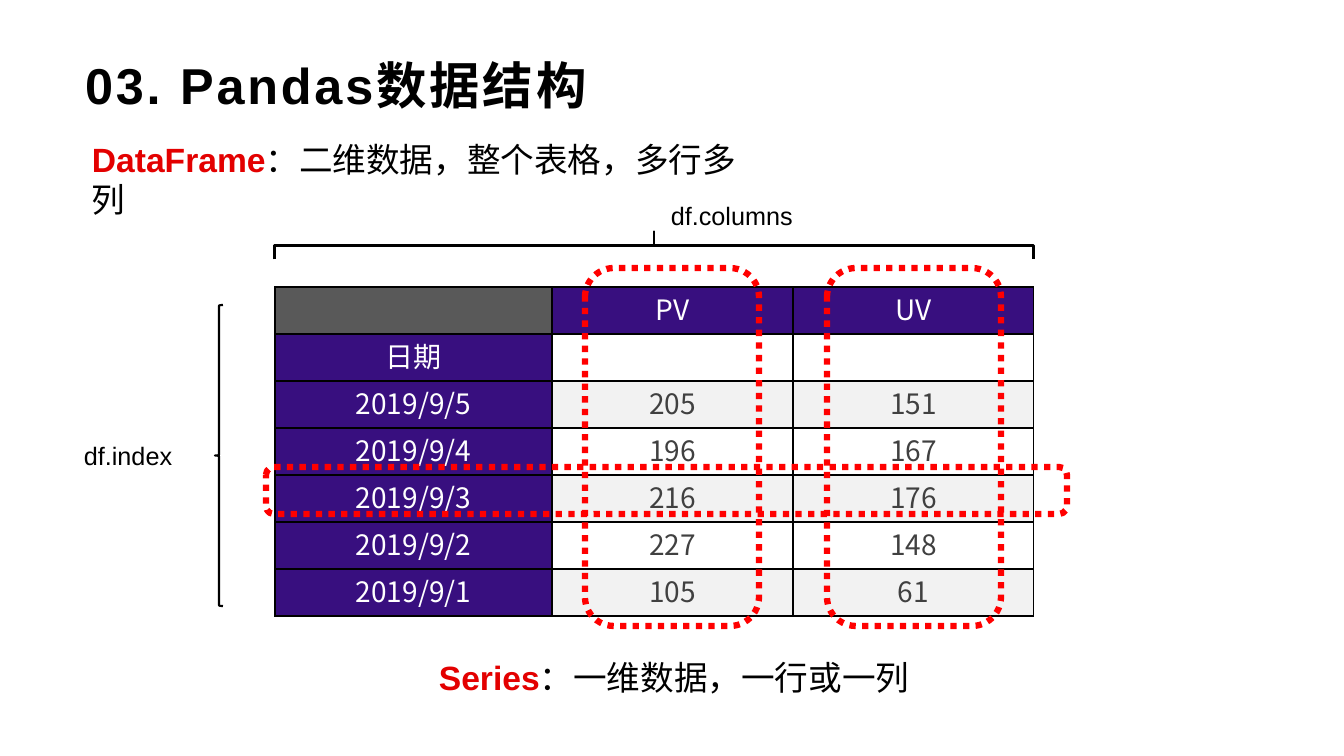
from lxml import etree
from pptx import Presentation
from pptx.dml.color import RGBColor
from pptx.enum.dml import MSO_LINE
from pptx.enum.shapes import MSO_SHAPE
from pptx.enum.text import MSO_ANCHOR, MSO_AUTO_SIZE, PP_ALIGN
from pptx.oxml.ns import qn
from pptx.util import Pt

PX = 914400 / 100.8
LATIN, CJK = "Arial", "Noto Sans CJK SC"
ROUND_RECT, BRACE = MSO_SHAPE.ROUNDED_RECTANGLE, MSO_SHAPE.LEFT_BRACE
DOTTED = MSO_LINE.ROUND_DOT
LEFT, CENTER, MIDDLE = PP_ALIGN.LEFT, PP_ALIGN.CENTER, MSO_ANCHOR.MIDDLE
NO_FIT, FIT_SHAPE = MSO_AUTO_SIZE.NONE, MSO_AUTO_SIZE.SHAPE_TO_FIT_TEXT
TITLE_ONLY = 5

COLORS = {
    "black": "000000", "white": "FFFFFF", "red": "FF0000",
    "term": "E30000", "term_end": "760303", "purple": "380F7F",
    "corner": "595959", "band": "F2F2F2", "value": "404040",
}


def px(n):
    return round(n * PX)


def rgb(name):
    return RGBColor.from_string(COLORS[name])


class Deck:
    """Holds the shared style and the current slide."""

    def __init__(self, width, height):
        self.prs = Presentation()
        self.prs.slide_width, self.prs.slide_height = px(width), px(height)
        self.slide = None

    def add_slide(self):
        layout = self.prs.slide_layouts[TITLE_ONLY]
        self.slide = self.prs.slides.add_slide(layout)

    def run(self, p, text, size, color="black", bold=False, font=LATIN):
        r = p.add_run()
        r.text = text
        style = {"name": font, "size": Pt(size), "bold": bold}
        for key, value in style.items():
            setattr(r.font, key, value)
        r.font.color.rgb = rgb(color)
        ea = etree.SubElement(r._r.get_or_add_rPr(), qn("a:ea"))
        ea.set("typeface", CJK)
        return r

    def title(self, text, x, y, w, h):
        sp = self.slide.shapes.title
        sp.left, sp.top, sp.width, sp.height = map(px, (x, y, w, h))
        tf = sp.text_frame
        frame = {"margin_left": px(11), "margin_right": px(8),
                 "margin_top": px(4), "margin_bottom": px(4),
                 "vertical_anchor": MIDDLE, "word_wrap": True,
                 "auto_size": NO_FIT}
        for key, value in frame.items():
            setattr(tf, key, value)
        p = tf.paragraphs[0]
        p.alignment = LEFT
        r = self.run(p, text, 36, bold=True)
        r._r.get_or_add_rPr().set("spc", "200")

    def text_box(self, x, y, w, h, wrap=False):
        tf = self.slide.shapes.add_textbox(*map(px, (x, y, w, h))).text_frame
        tf.word_wrap = wrap
        tf.auto_size = FIT_SHAPE
        return tf.paragraphs[0]

    def label(self, text, x, y, w, h):
        p = self.text_box(x, y, w, h)
        p.alignment = LEFT
        self.run(p, text, 18)

    def definition(self, term, meaning, x, y, w, h):
        p = self.text_box(x, y, w, h, wrap=True)
        fill = self.run(p, term, 24, bold=True).font.fill
        fill.gradient()
        fill.gradient_angle = 0
        for stop, color in zip(fill.gradient_stops, ("term", "term_end")):
            stop.color.rgb = rgb(color)
        self.run(p, meaning, 24)

    def outline(self, kind, x, y, w, h, color, weight, dash=None):
        sp = self.slide.shapes.add_shape(kind, *map(px, (x, y, w, h)))
        sp.shadow.inherit = False
        sp.fill.background()
        sp.line.color.rgb = rgb(color)
        sp.line.width = Pt(weight)
        if dash:
            sp.line.dash_style = dash
        return sp

    def cell(self, cell, text, fill, color):
        tc_pr = cell._tc.get_or_add_tcPr()
        for side in ("lnL", "lnR", "lnT", "lnB"):
            ln = etree.SubElement(tc_pr, qn("a:" + side), w=str(Pt(1)))
            solid = etree.SubElement(ln, qn("a:solidFill"))
            etree.SubElement(solid, qn("a:srgbClr"), val=COLORS["black"])
        cell.fill.solid()
        cell.fill.fore_color.rgb = rgb(fill)
        frame = {"margin_left": px(1), "margin_right": px(1),
                 "margin_top": px(1), "margin_bottom": px(5),
                 "vertical_anchor": MIDDLE}
        for key, value in frame.items():
            setattr(cell, key, value)
        if text:
            p = cell.text_frame.paragraphs[0]
            p.alignment = CENTER
            self.run(p, text, 20, color, font=CJK)

    def table(self, rows, x, y, widths, row_height):
        size = (sum(widths), row_height * len(rows))
        table = self.slide.shapes.add_table(
            len(rows), len(widths), *map(px, (x, y, *size))).table
        table.first_row = table.horz_banding = False
        for col, width in zip(table.columns, widths):
            col.width = px(width)
        for i, row in enumerate(rows):
            table.rows[i].height = px(row_height)
            for j, text in enumerate(row):
                if i == j == 0:
                    fill, color = "corner", "white"
                elif i == 0 or j == 0:
                    fill, color = "purple", "white"
                else:
                    fill, color = ("white" if i % 2 else "band"), "value"
                self.cell(table.cell(i, j), text, fill, color)


def main():
    deck = Deck(1344, 756)
    deck.add_slide()
    deck.title("03. Pandas数据结构", 74, 42, 1197, 84)

    # Data frame
    rows = [
        ("", "PV", "UV"),
        ("日期", "", ""),
        ("2019/9/5", "205", "151"),
        ("2019/9/4", "196", "167"),
        ("2019/9/3", "216", "176"),
        ("2019/9/2", "227", "148"),
        ("2019/9/1", "105", "61"),
    ]
    deck.table(rows, 275, 287, (277, 241, 241), 47)
    deck.definition("DataFrame", "：二维数据，整个表格，多行多列",
                    82, 134, 697, 50)

    # Series: two columns and one row
    for box in ((585, 268, 174, 358), (827, 268, 174, 358),
                (266, 467, 801, 47)):
        deck.outline(ROUND_RECT, *box, "red", 4.5, DOTTED)
    deck.definition("Series", "：一维数据，一行或一列", 429, 652, 491, 50)

    # Index and column braces
    deck.label("df.index", 74, 435, 120, 40)
    deck.outline(BRACE, 215, 305, 8, 301, "black", 1.5)
    sp = deck.outline(BRACE, 640, -134, 28, 759, "black", 1.5)
    sp.rotation = 90
    sp.adjustments[0], sp.adjustments[1] = 0, 0.5
    deck.label("df.columns", 661, 195, 152, 40)

    deck.prs.save("out.pptx")


if __name__ == "__main__":
    main()
